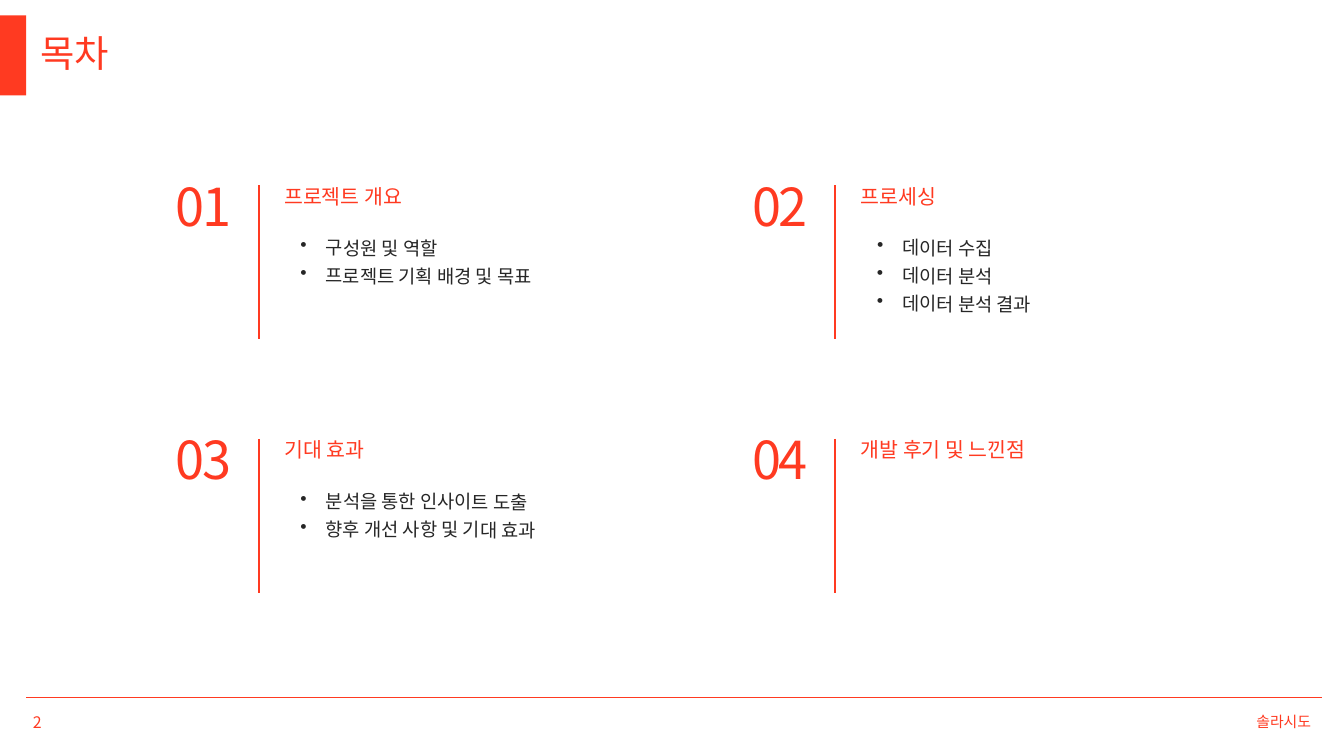
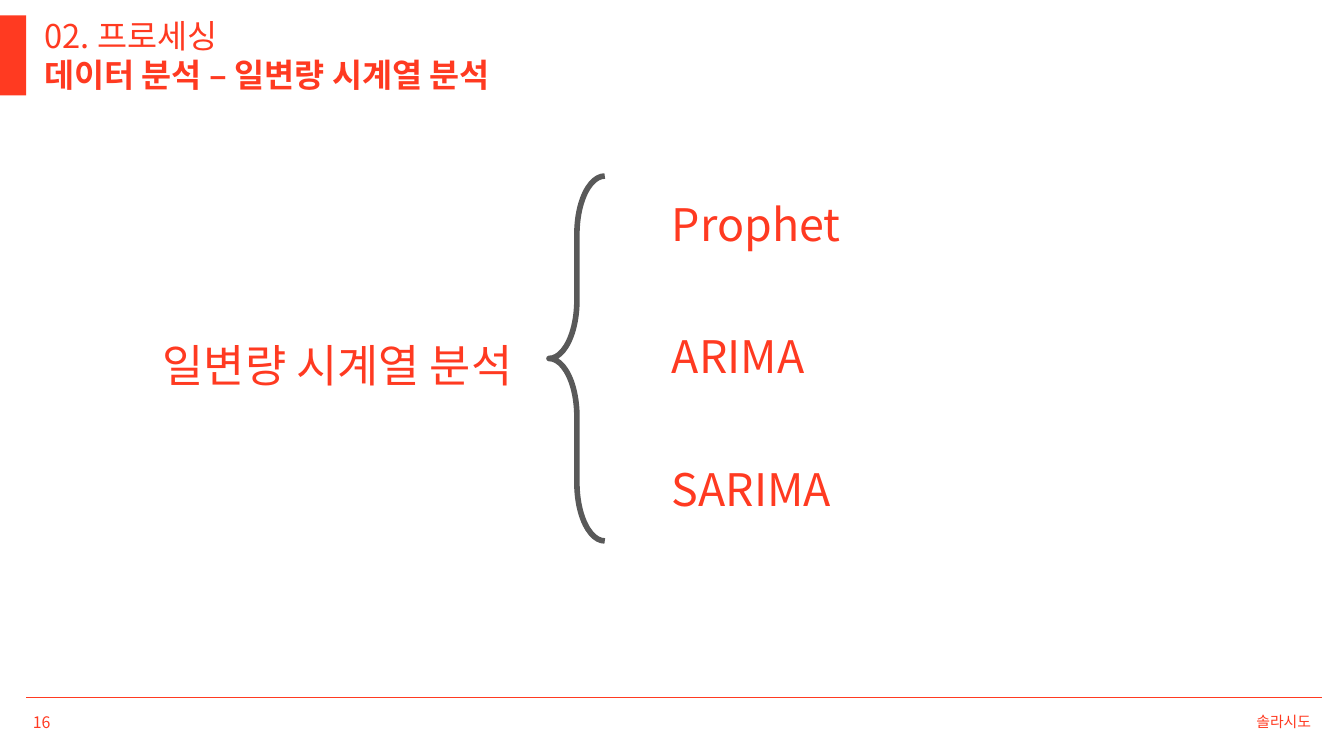
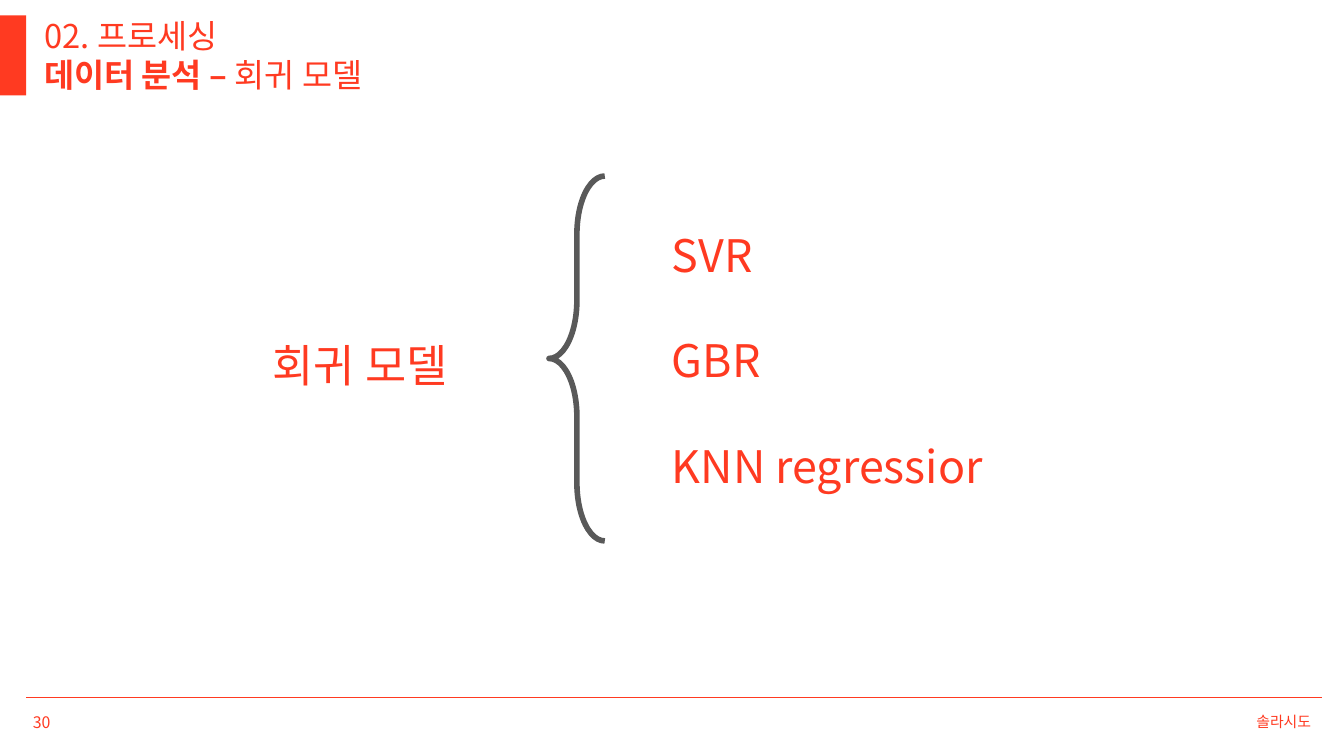
from lxml import etree
from pptx import Presentation
from pptx.dml.color import RGBColor
from pptx.enum.shapes import MSO_CONNECTOR, MSO_SHAPE
from pptx.enum.text import MSO_ANCHOR, MSO_AUTO_SIZE, PP_ALIGN
from pptx.oxml.ns import qn
from pptx.util import Emu, Pt

STRAIGHT = MSO_CONNECTOR.STRAIGHT
RECTANGLE, LEFT_BRACE = MSO_SHAPE.RECTANGLE, MSO_SHAPE.LEFT_BRACE
LEFT, CENTER, RIGHT = PP_ALIGN.LEFT, PP_ALIGN.CENTER, PP_ALIGN.RIGHT

EMU_PER_PX = 9144  # 100 px to the inch
FONT = "Noto Sans CJK KR"
COLORS = {"accent": "FF3A21", "body": "262626", "brace": "595959"}
TEAM = "솔라시도"

SECTIONS = [
    ("프로젝트 개요", ["구성원 및 역할", "프로젝트 기획 배경 및 목표"]),
    ("프로세싱", ["데이터 수집", "데이터 분석", "데이터 분석 결과"]),
    ("기대 효과", ["분석을 통한 인사이트 도출", "향후 개선 사항 및 기대 효과"]),
    ("개발 후기 및 느낀점", []),
]


def px(length):
    return Emu(length * EMU_PER_PX)


def color(name):
    return RGBColor.from_string(COLORS[name])


class Deck:
    """Holds the shared style and the slide being filled."""

    def __init__(self):
        self.presentation = Presentation()
        self.presentation.slide_width = px(2000)
        self.presentation.slide_height = px(1125)
        self.slide = None

    def new_slide(self, number):
        """Adds a slide with the title band, footer line and footer texts."""
        blank = self.presentation.slide_layouts[6]
        self.slide = self.presentation.slides.add_slide(blank)
        band = self.shape(RECTANGLE, 0, 23, 39, 119)
        band.fill.solid()
        band.fill.fore_color.rgb = color("accent")
        band.line.fill.background()
        self.line(39, 1038, 1967, 1038, 1.5)
        self.footer(39, 233, str(number), 17, LEFT)
        self.footer(1644, 317, TEAM, 16, RIGHT)

    def shape(self, kind, left, top, width, height):
        shape = self.slide.shapes.add_shape(kind, px(left), px(top), px(width), px(height))
        shape.shadow.inherit = False
        return shape

    def line(self, x1, y1, x2, y2, weight):
        line = self.slide.shapes.add_connector(STRAIGHT, px(x1), px(y1), px(x2), px(y2))
        line.line.color.rgb = color("accent")
        line.line.width = Pt(weight)
        etree.SubElement(line._element.spPr, qn("a:effectLst"))

    def brace(self, left, top, width, height):
        brace = self.shape(LEFT_BRACE, left, top, width, height)
        brace.adjustments[0] = 1.043
        brace.fill.background()
        brace.line.color.rgb = color("brace")
        brace.line.width = Pt(6)

    def style_run(self, run, size, color_name="accent", bold=False):
        run.font.size = Pt(size)
        run.font.bold = bold
        run.font.color.rgb = color(color_name)
        run.font.name = FONT
        east_asian = etree.SubElement(run.font._element, qn("a:ea"))
        east_asian.set("typeface", FONT)

    def text(self, left, top, width, height, text, size, spacing,
             align=LEFT, color_name="accent", bold=False):
        """Adds a box without insets whose lines are exactly `spacing` points apart."""
        box = self.slide.shapes.add_textbox(px(left), px(top), px(width), px(height))
        frame = box.text_frame
        frame.word_wrap = True
        frame.auto_size = MSO_AUTO_SIZE.SHAPE_TO_FIT_TEXT
        frame.margin_left = frame.margin_top = frame.margin_right = frame.margin_bottom = 0
        frame.text = text
        for paragraph in frame.paragraphs:
            paragraph.alignment = align
            paragraph.line_spacing = Pt(spacing)
            for run in paragraph.runs:
                self.style_run(run, size, color_name, bold)
        return box

    def footer(self, left, width, text, size, align):
        box = self.slide.shapes.add_textbox(px(left), px(1054), px(width), px(40))
        frame = box.text_frame
        frame.word_wrap = True
        frame.vertical_anchor = MSO_ANCHOR.MIDDLE
        frame.text = text
        frame.paragraphs[0].alignment = align
        self.style_run(frame.paragraphs[0].runs[0], size)

    def bullets(self, left, top, items):
        box = self.text(left, top, 385, 41 * len(items), "\n".join(items), 20, 30,
                        color_name="body")
        box.rotation = 0.3
        for paragraph in box.text_frame.paragraphs:
            paragraph.level = 1
            properties = paragraph._p.get_or_add_pPr()
            properties.set("marL", str(px(61)))
            properties.set("indent", str(px(-38)))
            etree.SubElement(properties, qn("a:buChar")).set("char", "•")

    def section(self, left, top, number, heading, items):
        self.line(left + 135, top + 8, left + 135, top + 237, 2)
        box = self.text(left, top, 106, 84, f"{number:02}", 56, 60.5, CENTER)
        box.text_frame.paragraphs[0].runs[0].font._element.set("spc", "-260")
        self.text(left + 173, top + 9, 358, 34, heading, 22, 24.2)
        if items:
            self.bullets(left + 174, top + 76, items)

    def chapter_title(self, bold_part, plain_part=""):
        self.text(66, 23, 1034, 61, "02. 프로세싱", 35, 42)
        box = self.text(66, 81, 1239, 61, bold_part, 35, 42, bold=True)
        if plain_part:
            run = box.text_frame.paragraphs[0].add_run()
            run.text = plain_part
            self.style_run(run, 35)

    def model_tree(self, topic, topic_left, topic_width, models, first_top, step):
        """Shows a topic, a brace and the models it branches into."""
        self.text(topic_left, 528, topic_width, 60, topic, 48, 39.2)
        self.brace(817, 262, 83, 543)
        for index, model in enumerate(models):
            self.text(1000, first_top + index * step, 550, 60, model, 48, 39.2)


def main():
    deck = Deck()

    deck.new_slide(2)
    deck.text(60, 58, 1775, 56, "목차", 40, 38.4)
    for index, (heading, items) in enumerate(SECTIONS):
        row, column = divmod(index, 2)
        deck.section(250 + 858 * column, 268 + 377 * row, index + 1, heading, items)

    deck.new_slide(16)
    deck.chapter_title("데이터 분석 – 일변량 시계열 분석")
    deck.model_tree("일변량 시계열 분석", 242, 558, ["Prophet", "ARIMA", "SARIMA"], 318, 197)

    deck.new_slide(30)
    deck.chapter_title("데이터 분석 – ", "회귀 모델")
    deck.model_tree("회귀 모델", 406, 283, ["SVR", "GBR", "KNN regressior"], 364, 157)

    deck.presentation.save("out.pptx")


if __name__ == "__main__":
    main()
